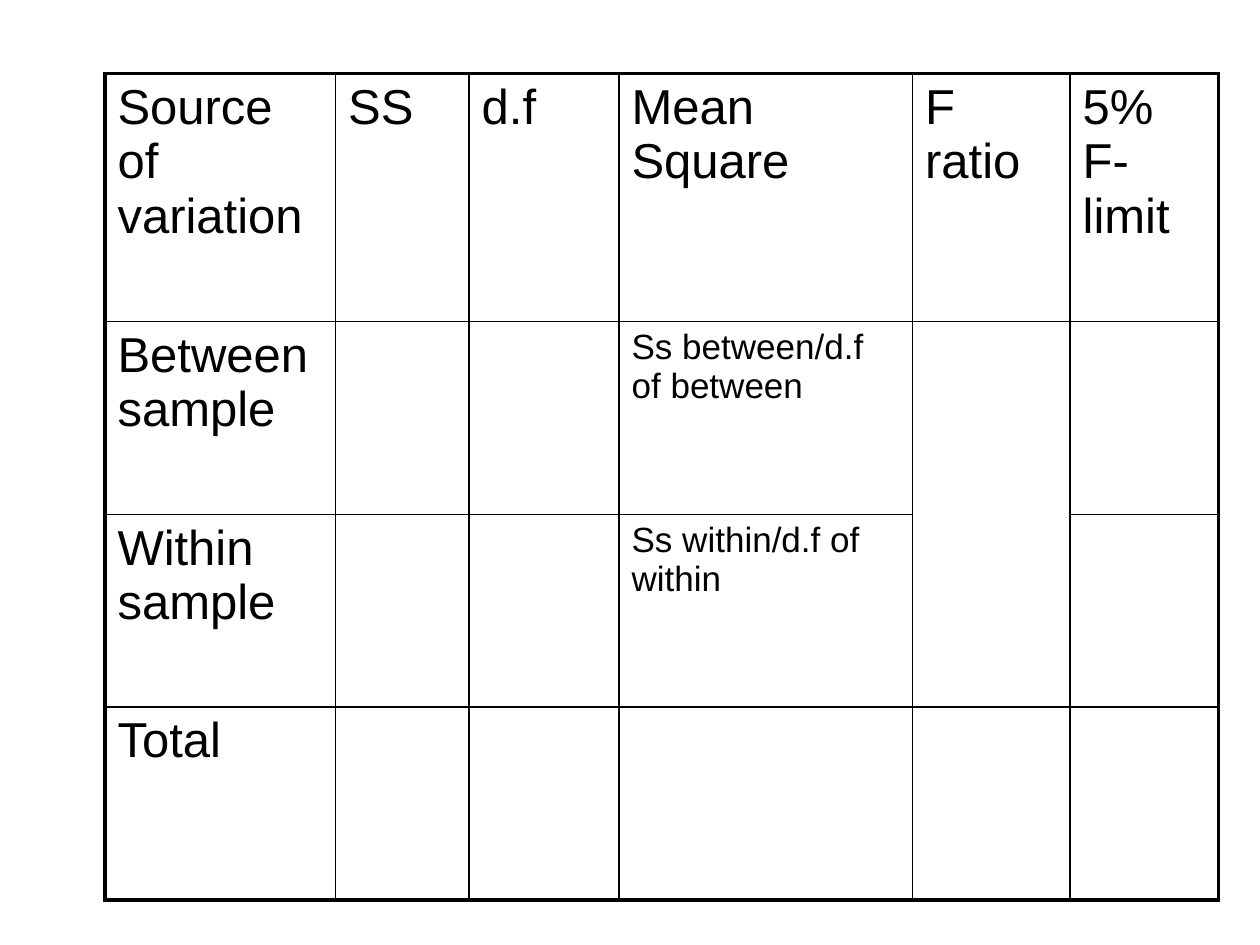
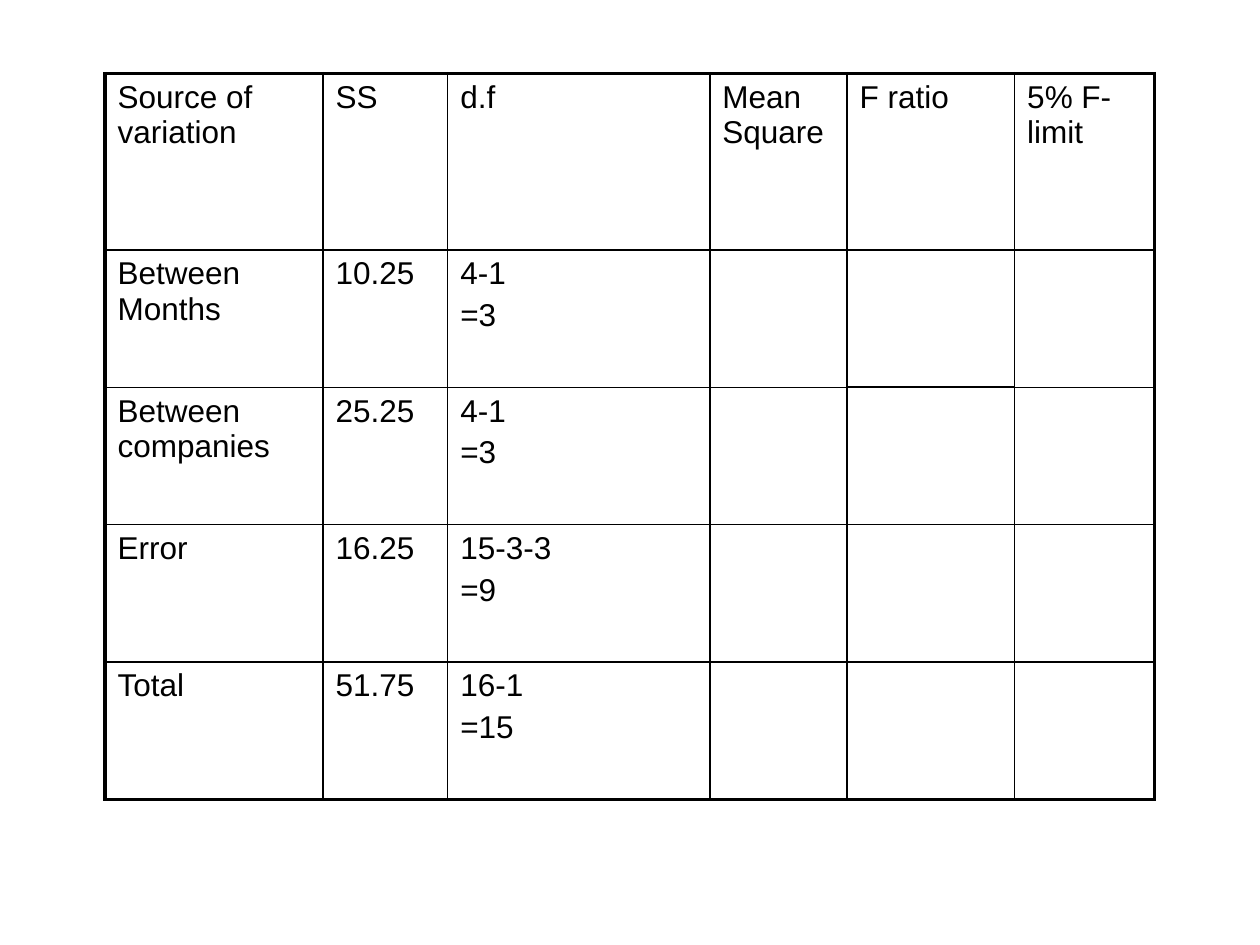
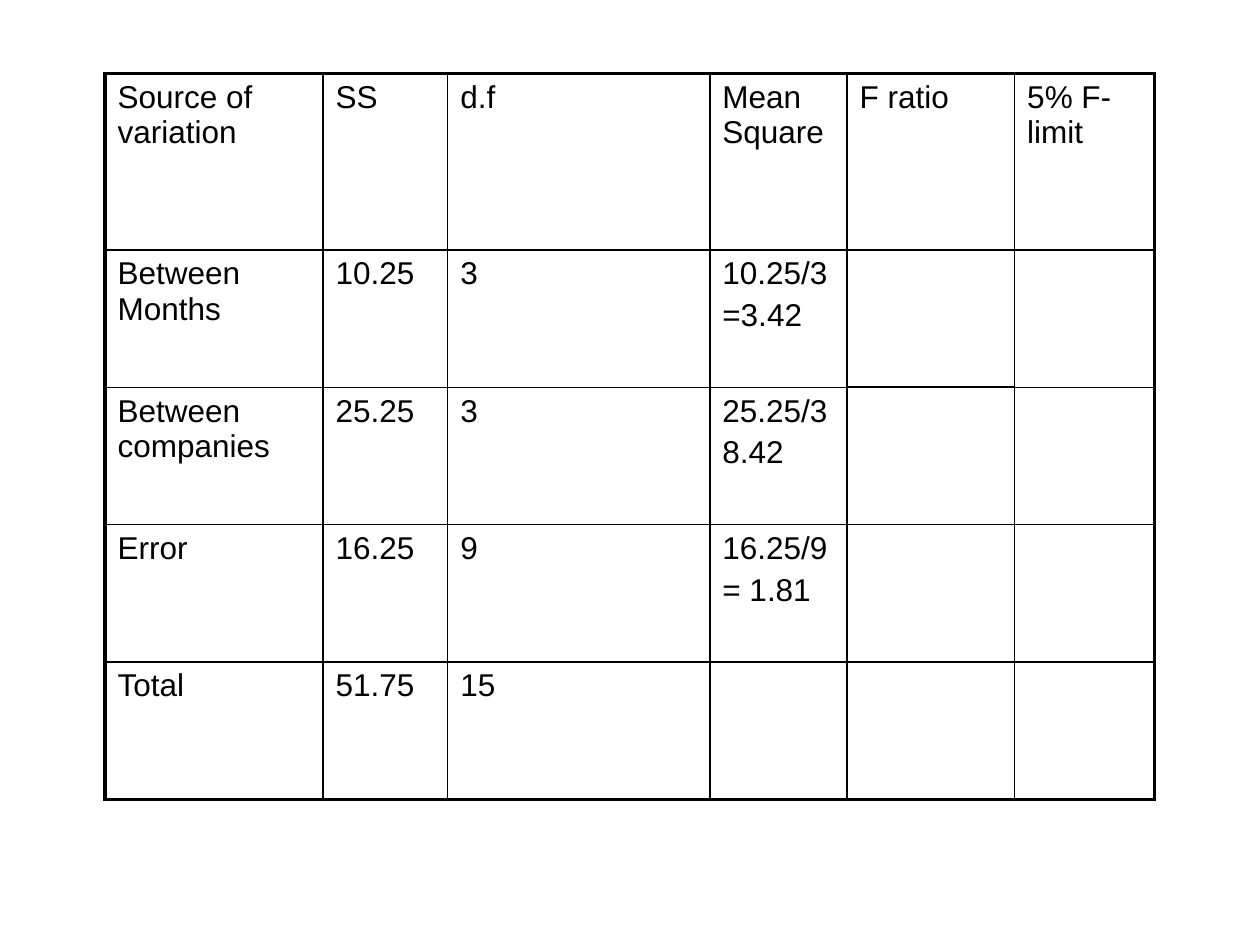
from dataclasses import dataclass

from lxml.etree import SubElement
from pptx import Presentation
from pptx.dml.color import RGBColor
from pptx.oxml.ns import qn
from pptx.util import Inches, Pt


@dataclass(frozen=True)
class Theme:
    font: str = "Arial"
    ink: str = "000000"
    outer_line: float = 2.25
    inner_line: float = 1
    large: int = 28
    formula: int = 20
    body: int = 18
    paragraph_gap: str = "20000"  # 20 % of the line


THEME = Theme()
BLANK_LAYOUT = 6
TABLE_LEFT, TABLE_TOP = 10 / 12, 7 / 12
HEADINGS = ["Source of variation", "SS", "d.f", "Mean Square", "F ratio", "5% F-limit"]
MEAN_COLUMN, RATIO_COLUMN = HEADINGS.index("Mean Square"), HEADINGS.index("F ratio")

OUTLINE_COLUMNS = [1.83, 1.06, 1.19, 2.33, 1.25, 1.18]
OUTLINE_HEIGHTS = [1.97] + [1.53] * 3
OUTLINE_ROWS = [
    ["Between sample", "", "", "Ss between/d.f of between"],
    ["Within sample", "", "", "Ss within/d.f of within"],
    ["Total"],
]

# The third row has no height: the F ratio column is merged across it
# with the row below, the other columns with the row above.
WORKED_COLUMNS = [1.73, 0.99, 2.08, 1.09, 1.33, 1.11]
WORKED_HEIGHTS = [1.4, 1.09, 0, 1.09, 1.09, 1.09]
SEAM_ROW = WORKED_HEIGHTS.index(0)
SUMS_OF_SQUARES = [
    ("Between Months", "10.25"),
    ("Between companies", "25.25"),
    ("Error", "16.25"),
    ("Total", "51.75"),
]
FREEDOM_STEPS = [["4-1\n=3"], ["4-1\n=3"], ["15-3-3\n=9"], ["16-1\n=15"]]
MEAN_SQUARE_STEPS = [
    ["3", "10.25/3\n=3.42"],
    ["3", "25.25/3\n8.42"],
    ["9", "16.25/9\n= 1.81"],
    ["15"],
]


def write_cell(cell, text, size):
    frame = cell.text_frame
    frame.text = text
    for para in frame.paragraphs:
        spacing = SubElement(para._p.get_or_add_pPr(), qn("a:spcBef"))
        SubElement(spacing, qn("a:spcPct"), val=THEME.paragraph_gap)
        para.font.size = Pt(size)
        for span in para.runs:
            span.font.name = THEME.font
            span.font.size = Pt(size)
            span.font.color.rgb = RGBColor.from_string(THEME.ink)


def rule_cell(cell, outer_edges):
    """Draw the four borders, heavier on the outer edges of the table."""
    properties = cell._tc.get_or_add_tcPr()
    for edge in "LRTB":
        points = THEME.outer_line if edge in outer_edges else THEME.inner_line
        line = SubElement(properties, qn(f"a:ln{edge}"), w=str(Pt(points)))
        fill = SubElement(line, qn("a:solidFill"))
        SubElement(fill, qn("a:srgbClr"), val=THEME.ink)
    cell.fill.background()


def merge_down(table, row, column):
    table.cell(row, column).merge(table.cell(row + 1, column))


def add_variance_table(deck, columns, heights, body_rows, size):
    """Add a slide with a variance table; short rows end in empty cells."""
    slide = deck.slides.add_slide(deck.slide_layouts[BLANK_LAYOUT])
    table = slide.shapes.add_table(
        len(heights), len(columns), Inches(TABLE_LEFT), Inches(TABLE_TOP),
        Inches(sum(columns)), Inches(sum(heights)),
    ).table
    table.first_row = table.horz_banding = False
    for column, width in zip(table.columns, columns):
        column.width = Inches(width)
    for row, height in zip(table.rows, heights):
        row.height = Inches(height)

    last_row, last_column = len(heights) - 1, len(columns) - 1
    for r, texts in enumerate([HEADINGS] + body_rows):
        for c in range(len(columns)):
            cell = table.cell(r, c)
            write_cell(cell, texts[c] if c < len(texts) else "", size)
            at_edge = {"L": c == 0, "R": c == last_column, "T": r == 0, "B": r == last_row}
            rule_cell(cell, [edge for edge, outer in at_edge.items() if outer])
    return table


def add_outline_slide(deck):
    table = add_variance_table(
        deck, OUTLINE_COLUMNS, OUTLINE_HEIGHTS, OUTLINE_ROWS, THEME.large
    )
    for r in (1, 2):
        for para in table.cell(r, MEAN_COLUMN).text_frame.paragraphs:
            for span in para.runs:
                span.font.size = Pt(THEME.formula)
    merge_down(table, 1, RATIO_COLUMN)


def add_worked_slide(deck, steps):
    rows = [[*source, *step] for source, step in zip(SUMS_OF_SQUARES, steps)]
    rows.insert(SEAM_ROW - 1, [])
    table = add_variance_table(deck, WORKED_COLUMNS, WORKED_HEIGHTS, rows, THEME.body)
    for column in range(len(HEADINGS)):
        merge_down(table, SEAM_ROW if column == RATIO_COLUMN else SEAM_ROW - 1, column)


def main():
    deck = Presentation()
    deck.slide_width, deck.slide_height = Inches(10), Inches(7.5)
    add_outline_slide(deck)
    for steps in (FREEDOM_STEPS, MEAN_SQUARE_STEPS):
        add_worked_slide(deck, steps)
    deck.save("out.pptx")


if __name__ == "__main__":
    main()
